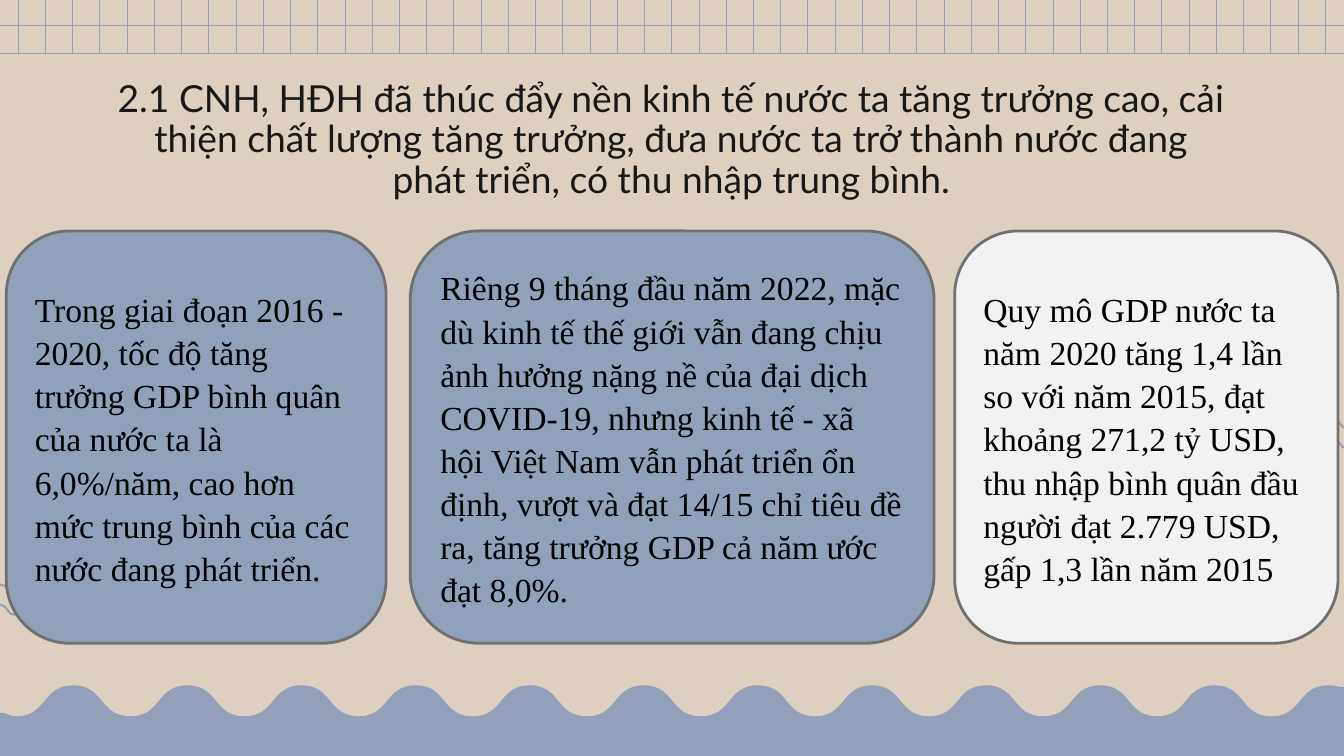
from lxml import etree
from pptx import Presentation
from pptx.dml.color import RGBColor
from pptx.enum.shapes import MSO_CONNECTOR as Connector, MSO_SHAPE as Shape
from pptx.enum.text import MSO_ANCHOR as Anchor, PP_ALIGN as Align
from pptx.oxml.ns import qn
from pptx.util import Cm, Pt

SAND = RGBColor(0xDD, 0xD0, 0xC0)
GRID_BLUE = RGBColor(0x91, 0xA1, 0xBA)
WAVE_BLUE = RGBColor(0x94, 0xA0, 0xB9)
PALE = RGBColor(0xF2, 0xF2, 0xF2)
GREY = RGBColor(0x70, 0x70, 0x70)
INK = RGBColor(0x18, 0x18, 0x18)
BLACK = RGBColor(0, 0, 0)

WIDTH, HEIGHT = 33.87, 19.05
GRID_TOP, GRID_BOTTOM = -0.69, 1.35
GRID_FIRST, GRID_LAST, GRID_COLUMNS = 0.46, 33.4, 49
SQUIGGLE_STEP, SQUIGGLE_TURNS = 0.33, 17
TROUGH_FIRST, CREST_LAST, WAVE_TURNS = 0.41, 33.48, 24

TITLE = ("2.1 CNH, HĐH đã thúc đẩy nền kinh tế nước ta tăng trưởng cao, cải thiện chất lượng "
         "tăng trưởng, đưa nước ta trở thành nước đang phát triển, có thu nhập trung bình.")
CARDS = [
    (10.34, 13.2, GRID_BLUE,
     "Riêng 9 tháng đầu năm 2022, mặc dù kinh tế thế giới vẫn đang chịu ảnh hưởng nặng nề của "
     "đại dịch COVID-19, nhưng kinh tế - xã hội Việt Nam vẫn phát triển ổn định, vượt và đạt "
     "14/15 chỉ tiêu đề ra, tăng trưởng GDP cả năm ước đạt 8,0%."),
    (24.06, 9.66, PALE,
     "Quy mô GDP nước ta năm 2020 tăng 1,4 lần so với năm 2015, đạt khoảng 271,2 tỷ USD, "
     "thu nhập bình quân đầu người đạt 2.779 USD, gấp 1,3 lần năm 2015"),
    (0.16, 9.57, GRID_BLUE,
     "Trong giai đoạn 2016 - 2020, tốc độ tăng trưởng GDP bình quân của nước ta là 6,0%/năm, "
     "cao hơn mức trung bình của các nước đang phát triển."),
]


def write_text(shape, text, font="Times New Roman", size=24, color=BLACK, align=Align.LEFT,
               anchor=Anchor.MIDDLE, line_spacing=1.07, space_after=10.7):
    """Fill a shape with one formatted paragraph."""
    frame = shape.text_frame
    frame.word_wrap = True
    frame.vertical_anchor = anchor
    paragraph = frame.paragraphs[0]
    paragraph.text = text
    paragraph.alignment = align
    paragraph.line_spacing = line_spacing
    paragraph.space_after = Pt(space_after)
    paragraph.font.name = font
    paragraph.font.size = Pt(size)
    paragraph.font.color.rgb = color


def turning_points(left, step, count, first_y, second_y):
    """List the alternating crests and troughs of a wave."""
    return [(left + i * step, (first_y, second_y)[i % 2]) for i in range(count)]


def bend(shape, count, pull):
    """Turn the first line segments of a freeform into curves with level ends."""
    points = list(shape._element.iter(qn("a:pt")))
    corners = [(int(point.get("x")), int(point.get("y"))) for point in points]
    for i in range(count):
        (x1, y1), (x2, y2) = corners[i], corners[i + 1]
        reach = round((x2 - x1) * pull)
        segment = points[i + 1].getparent()
        segment.tag = qn("a:cubicBezTo")
        for position, (x, y) in enumerate([(x1 + reach, y1), (x2 - reach, y2)]):
            control = etree.Element(qn("a:pt"), x=str(x), y=str(y))
            segment.insert(position, control)


class SlideBuilder:
    """Hold the current slide and draw its elements in centimetres."""

    def __init__(self, slide):
        self.slide = slide
        self.shapes = slide.shapes
        fill = slide.background.fill
        fill.solid()
        fill.fore_color.rgb = SAND

    def style(self, shape, fill=None, line=None, weight=1.5):
        shape.shadow.inherit = False
        if fill is None:
            shape.fill.background()
        else:
            shape.fill.solid()
            shape.fill.fore_color.rgb = fill
        if line is None:
            shape.line.fill.background()
        else:
            shape.line.color.rgb = line
            shape.line.width = Pt(weight)

    def grid_line(self, x1, y1, x2, y2):
        line = self.shapes.add_connector(Connector.STRAIGHT, Cm(x1), Cm(y1), Cm(x2), Cm(y2))
        line.line.color.rgb = GRID_BLUE
        line.line.width = Pt(0.75)
        etree.SubElement(line._element.spPr, qn("a:effectLst"))

    def wave(self, turns, corners=(), pull=0.5, **style):
        start, *rest = [(Cm(x), Cm(y)) for x, y in [*turns, *corners]]
        builder = self.shapes.build_freeform(*start)
        builder.add_line_segments(rest, close=bool(corners))
        shape = builder.convert_to_shape()
        bend(shape, len(turns) - 1, pull)
        self.style(shape, **style)

    def title(self, text):
        box = self.shapes.add_textbox(Cm(2.67), Cm(1.78), Cm(28.52), Cm(3.63))
        frame = box.text_frame
        frame.margin_left = frame.margin_right = Cm(0.25)
        frame.margin_top = frame.margin_bottom = Cm(0.25)
        write_text(box, text, font="Lato", size=26.6, color=INK, align=Align.CENTER,
                   anchor=Anchor.TOP, line_spacing=0.9, space_after=0)

    def card(self, left, width, fill, text):
        card = self.shapes.add_shape(Shape.ROUNDED_RECTANGLE, Cm(left), Cm(5.82),
                                     Cm(width), Cm(10.39))
        self.style(card, fill=fill, line=GREY, weight=2)
        write_text(card, text)


def main():
    presentation = Presentation()
    presentation.slide_width = Cm(WIDTH)
    presentation.slide_height = Cm(HEIGHT)
    builder = SlideBuilder(presentation.slides.add_slide(presentation.slide_layouts[6]))

    for y in (0.65, GRID_BOTTOM):
        builder.grid_line(WIDTH, y, 0, y)
    pitch = (GRID_LAST - GRID_FIRST) / (GRID_COLUMNS - 1)
    for column in range(GRID_COLUMNS):
        x = GRID_FIRST + column * pitch
        builder.grid_line(x, GRID_TOP, x, GRID_BOTTOM)

    for left, top in ((-2.62, 14.73), (28.98, 10.54)):
        for y in (top, top + 0.51):
            turns = turning_points(left, SQUIGGLE_STEP, SQUIGGLE_TURNS, y, y + 0.25)
            builder.wave(turns, line=WAVE_BLUE)

    step = (CREST_LAST - TROUGH_FIRST) / (WAVE_TURNS - 1)
    turns = turning_points(TROUGH_FIRST, step, WAVE_TURNS, 18.05, 17.27)
    builder.wave([(0, 17.96), *turns, (WIDTH, 17.31)], [(WIDTH, HEIGHT), (0, HEIGHT)],
                 pull=0.55, fill=WAVE_BLUE)

    builder.title(TITLE)
    for card in CARDS:
        builder.card(*card)
    presentation.save("out.pptx")


if __name__ == "__main__":
    main()
